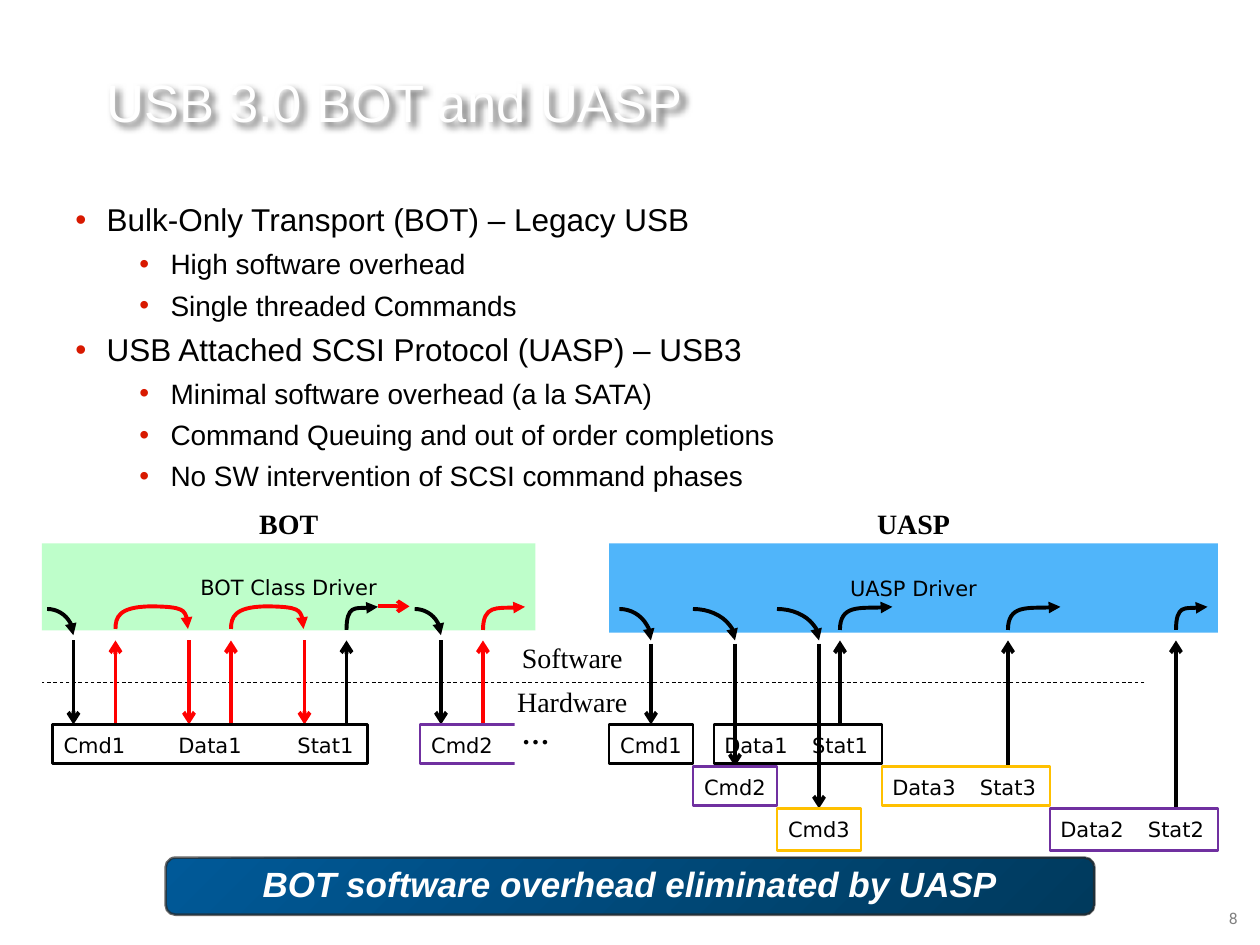
from lxml import etree
from pptx import Presentation
from pptx.dml.color import RGBColor
from pptx.enum.dml import MSO_LINE
from pptx.enum.shapes import MSO_CONNECTOR, MSO_SHAPE
from pptx.enum.text import MSO_ANCHOR, PP_ALIGN
from pptx.oxml.ns import qn
from pptx.util import Cm, Pt

RECTANGLE, ROUNDED, ARC = MSO_SHAPE.RECTANGLE, MSO_SHAPE.ROUNDED_RECTANGLE, MSO_SHAPE.ARC
STRAIGHT, DASH = MSO_CONNECTOR.STRAIGHT, MSO_LINE.DASH
LEFT, CENTER, RIGHT = PP_ALIGN.LEFT, PP_ALIGN.CENTER, PP_ALIGN.RIGHT
MIDDLE = MSO_ANCHOR.MIDDLE
BLACK, WHITE, RED, PURPLE, GOLD = "000000", "FFFFFF", "FF0000", "7030A0", "FFC000"
color = RGBColor.from_string

# The diagram lies on a grid of 120 by 90 steps.
STEP = Cm(25.4) // 120
SOFTWARE_Y, ROW_1, ROW_2, ROW_3 = 61, 69, 73, 77


def write(paragraph, text, font, size, hex_color=BLACK, align=CENTER, **formats):
    paragraph.alignment = align
    run = paragraph.add_run()
    run.text = text
    formats = {"name": font, "size": Pt(size), **formats}
    for name, value in formats.items():
        setattr(run.font, name, value)
    run.font.color.rgb = color(hex_color)


def draw_line(shape, hex_color, width, tail=None, dash=None):
    """Format the outline of a shape or connector, without a shadow."""
    shape.line.color.rgb = color(hex_color)
    shape.line.width = Pt(width)
    if dash:
        shape.line.dash_style = dash
    properties = shape.line._get_or_add_ln()
    if tail:
        etree.SubElement(properties, qn("a:tailEnd"), type=tail)
    etree.SubElement(properties.getparent(), qn("a:effectLst"))


presentation = Presentation()
presentation.slide_width, presentation.slide_height = Cm(25.4), Cm(19.05)
slide = presentation.slides.add_slide(presentation.slide_layouts[5])
shapes = slide.shapes

# Title with a soft shadow
title = shapes.title
title.left, title.top, title.width, title.height = Cm(1.9), Cm(0.31), Cm(17.35), Cm(3.46)
title.text_frame.vertical_anchor = MIDDLE
write(title.text_frame.paragraphs[0], "USB 3.0 BOT and UASP", "Arial", 30, WHITE, LEFT)
effects = etree.SubElement(title._element.spPr, qn("a:effectLst"))
shadow = etree.SubElement(effects, qn("a:outerShdw"), blurRad="50800", dist="38100",
                          dir="2700000", algn="tl", rotWithShape="0")
shadow_color = etree.SubElement(shadow, qn("a:srgbClr"), val=BLACK)
etree.SubElement(shadow_color, qn("a:alpha"), val="60000")

# Bullets
bullets = [
    (0, "Bulk-Only Transport (BOT) – Legacy USB"),
    (1, "High software overhead"),
    (1, "Single threaded Commands"),
    (0, "USB Attached SCSI Protocol (UASP) – USB3"),
    (1, "Minimal software overhead (a la SATA)"),
    (1, "Command Queuing and out of order completions"),
    (1, "No SW intervention of SCSI command phases"),
]
body = shapes.add_textbox(Cm(1.27), Cm(4), Cm(22.65), Cm(7.2)).text_frame
body.word_wrap = True
for index, (level, text) in enumerate(bullets):
    paragraph = body.add_paragraph() if index else body.paragraphs[0]
    paragraph.level = level
    size = (18, 16)[level]
    properties = paragraph._p.get_or_add_pPr()
    properties.set("marL", str(Cm((0.63, 1.92)[level])))
    properties.set("indent", str(-Cm(0.63)))
    bullet_color = etree.SubElement(properties, qn("a:buClr"))
    etree.SubElement(bullet_color, qn("a:srgbClr"), val="D81900")
    etree.SubElement(properties, qn("a:buFont"), typeface="Arial")
    etree.SubElement(properties, qn("a:buChar"), char="•")
    paragraph.line_spacing = 0.9
    paragraph.space_before = Pt(0.2 * size if index else 0)
    paragraph.space_after = Pt(0.2 * size)
    write(paragraph, text, "Arial", size, align=LEFT)

# Filled boxes: driver bands, then the command phases
boxes = [
    ("BOT Class Driver", 4, 51.75, 47, 8.3, "BEFECA"),
    ("UASP Driver", 58, 51.75, 58, 8.5, "50B5FA"),
]
phases = [
    (ROW_1, [("Cmd1", 5), ("Data1", 16), ("Stat1", 27), ("Cmd2", 40),
             ("Cmd1", 58), ("Data1", 68), ("Stat1", 76)]),
    (ROW_2, [("Cmd2", 66), ("Data3", 84), ("Stat3", 92)]),
    (ROW_3, [("Cmd3", 74), ("Data2", 100), ("Stat2", 108)]),
]
boxes += [(text, x, y, 8, 4, WHITE) for y, row in phases for text, x in row]
for text, x, y, width, height, fill in boxes:
    box = shapes.add_shape(RECTANGLE, *(round(n * STEP) for n in (x, y, width, height)))
    box.shadow.inherit = False
    box.fill.solid()
    box.fill.fore_color.rgb = color(fill)
    box.line.fill.background()
    frame = box.text_frame
    frame.vertical_anchor = MIDDLE
    frame.margin_left = frame.margin_right = Cm(0.13)
    frame.margin_top = frame.margin_bottom = 0
    write(frame.paragraphs[0], text, "DejaVu Sans", 12)

# Straight lines: the software and hardware boundary, then the arrows
lines = [(109, 65, 4, 65, BLACK, 0.5, None, DASH)]
arrows = [(x, SOFTWARE_Y, x, ROW_1, hue) for x, hue in ((7, BLACK), (18, RED), (29, RED), (42, BLACK))]
arrows += [(x, ROW_1, x, SOFTWARE_Y, hue) for x, hue in ((11, RED), (22, RED), (33, BLACK), (46, RED))]
for row, (down_x, up_x) in zip((ROW_1, ROW_2, ROW_3), ((62, 80), (70, 96), (78, 112))):
    arrows += [(down_x, 61.3, down_x, row, BLACK), (up_x, row, up_x, SOFTWARE_Y, BLACK)]
arrows.append((36, 57.75, 39, 57.75, RED))
lines += [(*arrow, 2.25, "arrow", None) for arrow in arrows]
for x1, y1, x2, y2, *line_format in lines:
    line = shapes.add_connector(STRAIGHT, *(round(n * STEP) for n in (x1, y1, x2, y2)))
    draw_line(line, *line_format)

# Curved arrows inside the drivers: a start, then cubic curves of three points each
curves = []
for x in (11, 22):
    curves.append((RED, (x, 59.9), [
        [(x, 58.8), (x + 0.3, 57.8), (x + 3.3, 57.75)],
        [(x + 6.6, 57.75), (x + 7, 58.6), (x + 6.9, 59.9)],
    ]))
for x, width, hue in ((33, 3, BLACK), (46, 4, RED), (80, 5, BLACK), (96, 5, BLACK), (112, 3, BLACK)):
    curves.append((hue, (x, 60), [[(x, 57.6), (x + width / 2, 58), (x + width, 57.8)]]))
for hue, start, segments in curves:
    builder = shapes.build_freeform(*(round(n * STEP) for n in start))
    ends = [segment[-1] for segment in segments]
    builder.add_line_segments([(round(x * STEP), round(y * STEP)) for x, y in ends], close=False)
    curve = builder.convert_to_shape()
    for straight, segment in zip(list(curve._element.iter(qn("a:lnTo"))), segments):
        cubic = etree.Element(qn("a:cubicBezTo"))
        for x, y in segment:
            etree.SubElement(cubic, qn("a:pt"), x=str(round(x * STEP) - curve.left),
                             y=str(round(y * STEP) - curve.top))
        straight.getparent().replace(straight, cubic)
    curve.fill.background()
    draw_line(curve, hue, 2.25, "triangle")

for x, width, height in ((2, 5, 5), (37, 5, 5), (56, 6, 6), (62, 8, 6), (70, 8, 6)):
    arc = shapes.add_shape(ARC, x * STEP, 58 * STEP, width * STEP, height * STEP)
    arc.fill.background()
    draw_line(arc, BLACK, 2.25, "triangle")

# Frames around each command
frames = [
    (5, ROW_1, 30, 3.7, BLACK), (40, ROW_1, 12, 3.7, PURPLE),
    (58, ROW_1, 8, 3.7, BLACK), (68, ROW_1, 16, 3.7, BLACK),
    (66, ROW_2, 8, 3.7, PURPLE), (84, ROW_2, 16, 3.7, GOLD),
    (74, ROW_3, 8, 4, GOLD), (100, ROW_3, 16, 4, PURPLE),
]
for x, y, width, height, hue in frames:
    outline = shapes.add_shape(RECTANGLE, *(round(n * STEP) for n in (x, y, width, height)))
    outline.fill.background()
    draw_line(outline, hue, 1.5)

# White cover that leaves the last BOT command open
cover = shapes.add_shape(RECTANGLE, 49 * STEP, 68 * STEP, 4 * STEP, round(6.7 * STEP))
cover.shadow.inherit = False
cover.fill.solid()
cover.fill.fore_color.rgb = color(WHITE)
cover.line.fill.background()

# Free labels
labels = [
    ("BOT", 4, 48, 47, True), ("UASP", 58, 48, 58, True), ("…", 47, 68, 8, True),
    ("Software", 47, 60.75, 15, False), ("Hardware", 47, 64.9, 15, False),
]
for text, x, y, width, bold in labels:
    label = shapes.add_textbox(*(round(n * STEP) for n in (x, y, width, 3.7))).text_frame
    label.word_wrap = True
    label.vertical_anchor = MIDDLE
    label.margin_left = label.margin_right = label.margin_top = label.margin_bottom = 0
    write(label.paragraphs[0], text, "Times New Roman", 16, bold=bold)

# Conclusion banner
banner = shapes.add_shape(ROUNDED, Cm(3.34), Cm(17.29), Cm(18.72), Cm(1.15))
banner.adjustments[0] = 0.17
banner.fill.gradient()
banner.fill.gradient_angle = 315
for stop, hue in zip(banner.fill.gradient_stops, ("005998", "003A5D")):
    stop.color.rgb = color(hue)
draw_line(banner, "292929", 1.5)
line_color = banner.line._get_or_add_ln().find(".//" + qn("a:srgbClr"))
etree.SubElement(line_color, qn("a:alpha"), val="70000")
banner.text_frame.vertical_anchor = MIDDLE
conclusion = banner.text_frame.paragraphs[0]
conclusion.line_spacing = 0.9
conclusion.space_after = Pt(4)
write(conclusion, "BOT software overhead eliminated by UASP",
      "Arial", 20, WHITE, bold=True, italic=True)

# Slide number
number = shapes.add_textbox(Cm(19.92), Cm(18.2), Cm(5.28), Cm(0.8)).text_frame
number.word_wrap = True
write(number.paragraphs[0], "8", "Roboto", 9, "808080", RIGHT)

presentation.save("out.pptx")
